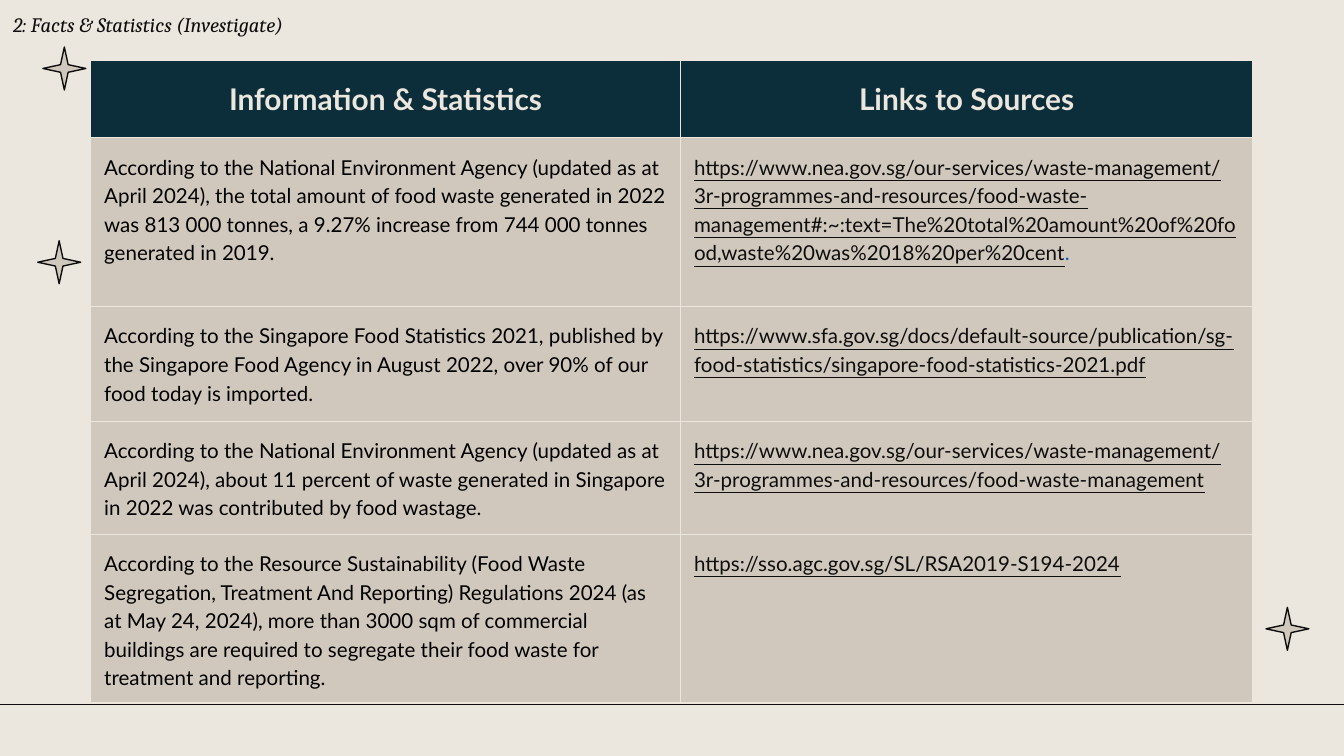
from lxml import etree
from pptx import Presentation
from pptx.dml.color import RGBColor
from pptx.enum.shapes import MSO_CONNECTOR as Connector, MSO_SHAPE as Shape
from pptx.enum.text import MSO_ANCHOR as Anchor, PP_ALIGN as Align
from pptx.oxml.ns import qn
from pptx.util import Pt

COLORS = {
    "background": "EBE6DE",
    "ink": "0D0D0D",
    "body": "000000",
    "header": "0C2E3A",
    "sand": "D1C8BD",
    "link": "1155CC",
}
INSET = Pt(7.2)
STAR_SIZE = 23
STARS = [(23, 25.2), (20.2, 129), (678.2, 325.4)]
COLUMN_WIDTHS = [316, 306.6]
ROW_HEIGHTS = [41.5, 90.5, 61.5, 60.5, 90]
HEADERS = ["Information & Statistics", "Links to Sources"]
# Each row: fact, link, text after the link
FACTS = [
    ("According to the National Environment Agency (updated as at April 2024), "
     "the total amount of food waste generated in 2022 was 813 000 tonnes, "
     "a 9.27% increase from 744 000 tonnes generated in 2019.",
     "https://www.nea.gov.sg/our-services/waste-management/3r-programmes-and-resources/"
     "food-waste-management#:~:text=The%20total%20amount%20of%20food,"
     "waste%20was%2018%20per%20cent", "."),
    ("According to the Singapore Food Statistics 2021, published by the Singapore "
     "Food Agency in August 2022, over 90% of our food today is imported.",
     "https://www.sfa.gov.sg/docs/default-source/publication/sg-food-statistics/"
     "singapore-food-statistics-2021.pdf", ""),
    ("According to the National Environment Agency (updated as at April 2024), "
     "about 11 percent of waste generated in Singapore in 2022 was contributed "
     "by food wastage.",
     "https://www.nea.gov.sg/our-services/waste-management/3r-programmes-and-resources/"
     "food-waste-management", ""),
    ("According to the Resource Sustainability (Food Waste Segregation, Treatment "
     "And Reporting) Regulations 2024 (as at May 24, 2024), more than 3000 sqm of "
     "commercial buildings are required to segregate their food waste for "
     "treatment and reporting.",
     "https://sso.agc.gov.sg/SL/RSA2019-S194-2024", ""),
]


def color(name):
    return RGBColor.from_string(COLORS[name])


def add_text(paragraph, text, *, size=11, font="Lato", fill="body", bold=False,
             italic=False, underline=False, align=None, spacing=None):
    run = paragraph.add_run()
    run.text = text
    run.font.size = Pt(size)
    run.font.name = font
    run.font.bold = bold
    run.font.italic = italic
    run.font.underline = underline
    run.font.color.rgb = color(fill)
    if align is not None:
        paragraph.alignment = align
    if spacing is not None:
        paragraph.line_spacing = spacing


def set_insets(holder):
    holder.margin_left = holder.margin_right = INSET
    holder.margin_top = holder.margin_bottom = INSET


def add_rule(slide, y, width):
    line = slide.shapes.add_connector(Connector.STRAIGHT, 0, Pt(y), width, Pt(y))
    line.line.color.rgb = color("ink")
    line.line.width = Pt(0.75)
    etree.SubElement(line._element.spPr, qn("a:effectLst"))


def add_star(slide, left, top):
    star = slide.shapes.add_shape(Shape.STAR_4_POINT, Pt(left), Pt(top),
                                  Pt(STAR_SIZE), Pt(STAR_SIZE))
    star.adjustments[0] = 0.125
    star.shadow.inherit = False
    star.fill.solid()
    star.fill.fore_color.rgb = color("sand")
    star.line.color.rgb = color("ink")
    star.line.width = Pt(0.75)


def add_title(slide):
    box = slide.shapes.add_textbox(0, 0, Pt(270.7), Pt(28))
    box.text_frame.word_wrap = True
    set_insets(box.text_frame)
    add_text(box.text_frame.paragraphs[0], "2: Facts & Statistics (Investigate)",
             font="Cambria", fill="ink", italic=True)


def style_cell(cell, fill, anchor):
    set_insets(cell)
    cell.vertical_anchor = anchor
    properties = cell._tc.get_or_add_tcPr()
    for side in ("lnL", "lnR", "lnT", "lnB"):
        border = etree.SubElement(properties, qn(f"a:{side}"), w=str(Pt(0.75)))
        solid = etree.SubElement(border, qn("a:solidFill"))
        etree.SubElement(solid, qn("a:srgbClr"), val=COLORS["background"])
    cell.fill.solid()
    cell.fill.fore_color.rgb = color(fill)


def add_facts_table(slide):
    table = slide.shapes.add_table(
        len(ROW_HEIGHTS), len(COLUMN_WIDTHS), Pt(48.6), Pt(32.2),
        Pt(sum(COLUMN_WIDTHS)), Pt(sum(ROW_HEIGHTS))).table
    for column, width in zip(table.columns, COLUMN_WIDTHS):
        column.width = Pt(width)
    for row, height in zip(table.rows, ROW_HEIGHTS):
        row.height = Pt(height)

    # Header row
    for cell, header in zip(table.rows[0].cells, HEADERS):
        style_cell(cell, "header", Anchor.MIDDLE)
        add_text(cell.text_frame.paragraphs[0], header, size=16,
                 fill="background", bold=True, align=Align.CENTER)

    # Facts with their sources
    for index, (fact, link, ending) in enumerate(FACTS, start=1):
        cells = [table.cell(index, column) for column in range(2)]
        for cell in cells:
            style_cell(cell, "sand", Anchor.TOP)
        fact_paragraph, link_paragraph = [cell.text_frame.paragraphs[0] for cell in cells]
        add_text(fact_paragraph, fact, spacing=1.15)
        add_text(link_paragraph, link, fill="ink", underline=True, spacing=1.15)
        if ending:
            add_text(link_paragraph, ending, fill="link")


def main():
    presentation = Presentation()
    presentation.slide_width = Pt(720)
    presentation.slide_height = Pt(405)
    slide = presentation.slides.add_slide(presentation.slide_layouts[6])
    slide.background.fill.solid()
    slide.background.fill.fore_color.rgb = color("background")

    # Decoration
    add_rule(slide, 377.3, presentation.slide_width)
    for left, top in STARS:
        add_star(slide, left, top)

    # Content
    add_title(slide)
    add_facts_table(slide)
    presentation.save("out.pptx")


if __name__ == "__main__":
    main()
